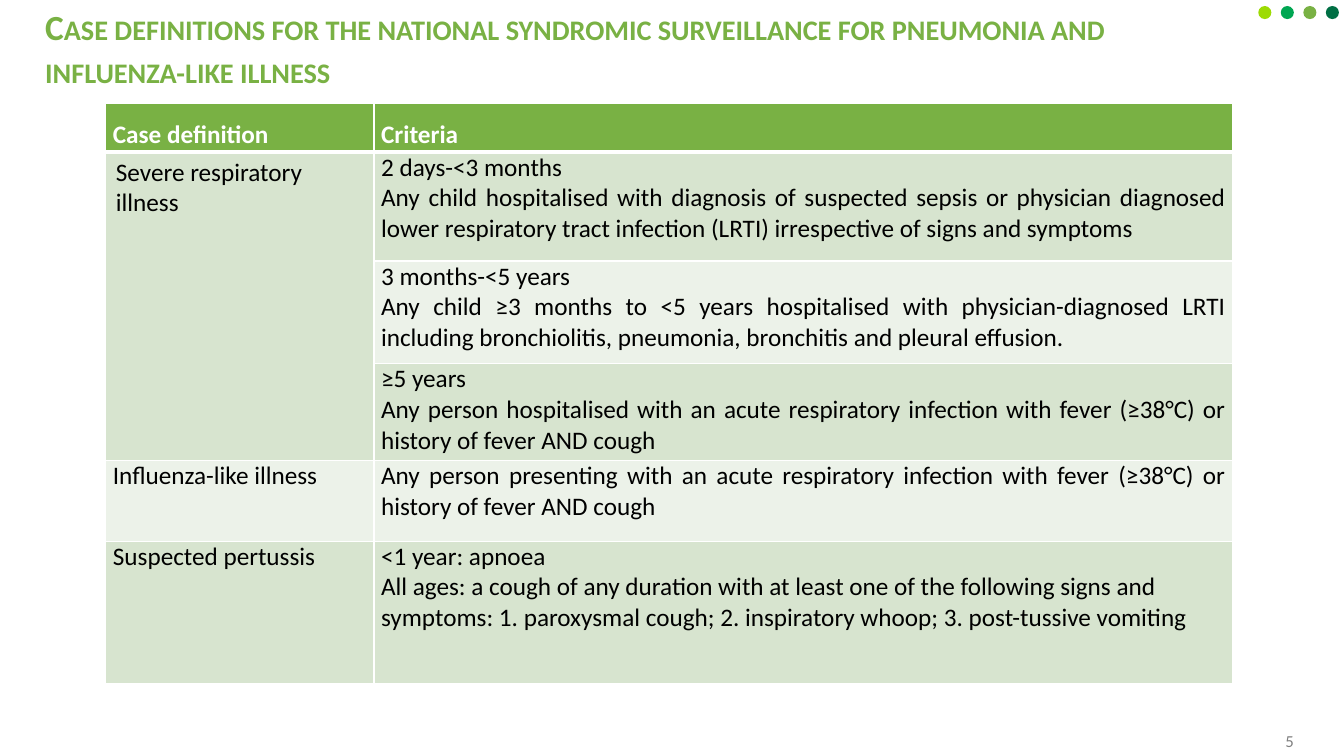
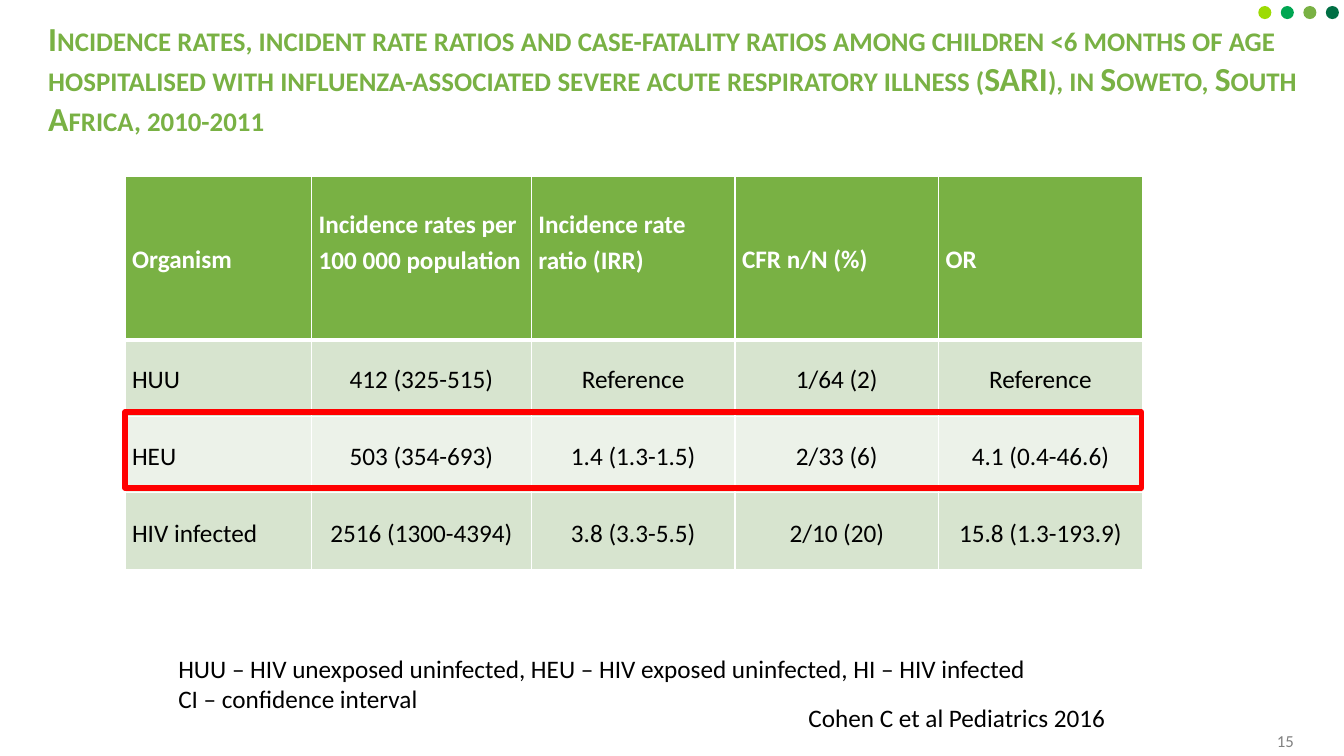
"""Build two slides of case definitions and incidence rates."""
from lxml import etree
from pptx import Presentation
from pptx import util as u
from pptx.dml.color import RGBColor
from pptx.enum import shapes, text
from pptx.oxml.ns import qn

WHITE = RGBColor(0xFF, 0xFF, 0xFF)
BLACK = RGBColor(0x00, 0x00, 0x00)
GREY = RGBColor(0x80, 0x80, 0x80)
RED = RGBColor(0xFF, 0x00, 0x00)
LIME = RGBColor(0x9D, 0xDB, 0x04)
EMERALD = RGBColor(0x00, 0xA6, 0x52)
GREEN = RGBColor(0x79, 0xB1, 0x44)
FOREST = RGBColor(0x00, 0x6F, 0x44)
BANDS = (RGBColor(0xD7, 0xE4, 0xCF), RGBColor(0xEC, 0xF2, 0xE9))

LEFT = text.PP_ALIGN.LEFT
CENTER = text.PP_ALIGN.CENTER
RIGHT = text.PP_ALIGN.RIGHT
JUSTIFY = text.PP_ALIGN.JUSTIFY
TOP = text.MSO_ANCHOR.TOP
MIDDLE = text.MSO_ANCHOR.MIDDLE

CASE_DEFINITIONS = [
    ["Case definition", "Criteria"],
    ["Severe respiratory illness",
     "2 days-<3 months\nAny child hospitalised with diagnosis of suspected sepsis or "
     "physician diagnosed lower respiratory tract infection (LRTI) irrespective of "
     "signs and symptoms"],
    ["", "3 months-<5 years\nAny child ≥3 months to <5 years hospitalised with "
     "physician-diagnosed LRTI including bronchiolitis, pneumonia, bronchitis and "
     "pleural effusion."],
    ["", "≥5 years\nAny person hospitalised with an acute respiratory infection with "
     "fever (≥38°C) or history of fever AND cough"],
    ["Influenza-like illness",
     "Any person presenting with an acute respiratory infection with fever (≥38°C) or "
     "history of fever AND cough"],
    ["Suspected pertussis",
     "<1 year: apnoea\nAll ages: a cough of any duration with at least one of the "
     "following signs and symptoms: 1. paroxysmal cough; 2. inspiratory whoop; "
     "3. post-tussive vomiting"],
]
INCIDENCE_RATES = [
    ["Organism", "Incidence rates per 100 000 population", "Incidence rate ratio (IRR)",
     "CFR n/N (%)", "OR"],
    ["HUU", "412 (325-515)", "Reference", "1/64 (2)", "Reference"],
    ["HEU", "503 (354-693)", "1.4 (1.3-1.5)", "2/33 (6)", "4.1 (0.4-46.6)"],
    ["HIV infected", "2516 (1300-4394)", "3.8 (3.3-5.5)", "2/10 (20)", "15.8 (1.3-193.9)"],
]


class Deck:
    """Hold the shared style and the current slide."""

    font = "Calibri"
    body_size = 18

    def __init__(self):
        """Start an empty widescreen presentation."""
        self.presentation = Presentation()
        self.presentation.slide_width = u.Inches(13.33)
        self.presentation.slide_height = u.Inches(7.5)
        self.slide = None

    def new_slide(self, title, title_box, title_size, number):
        """Add a slide with its dots, title and page number."""
        self.slide = self.presentation.slides.add_slide(self.presentation.slide_layouts[6])
        for index, color in enumerate((LIME, EMERALD, GREEN, FOREST)):
            dot = self.shape(shapes.MSO_SHAPE.OVAL, (12.48 + 0.67 * index / 3, 0.06, 0.13, 0.13))
            dot.fill.solid()
            dot.fill.fore_color.rgb = color
            dot.line.fill.background()
        frame = self.text_box(title, title_box, title_size, GREEN, anchor=MIDDLE, bold=True)
        for run in frame.paragraphs[0].runs:
            run.font._element.set("cap", "small")
        self.text_box(str(number), (10.14, 7.19, 2.79, 0.31), 12, GREY, RIGHT, MIDDLE)

    def shape(self, kind, box):
        """Add a preset shape without shadow."""
        shape = self.slide.shapes.add_shape(kind, *map(u.Inches, box))
        shape.shadow.inherit = False
        return shape

    def add_text(self, frame, content, size, color, align=LEFT, bold=False, spacing=1.0):
        """Add one paragraph for each line of content."""
        for index, line in enumerate(content.split("\n")):
            paragraph = frame.add_paragraph() if index else frame.paragraphs[0]
            paragraph.alignment = align
            paragraph.line_spacing = spacing
            run = paragraph.add_run()
            run.text = line
            run.font.name = self.font
            run.font.size = u.Pt(size)
            run.font.bold = bold
            run.font.color.rgb = color

    def text_box(self, content, box, size=body_size, color=BLACK, align=LEFT,
                 anchor=TOP, bold=False):
        """Add a wrapped text box and return its frame."""
        frame = self.slide.shapes.add_textbox(*map(u.Inches, box)).text_frame
        frame.word_wrap = True
        frame.vertical_anchor = anchor
        self.add_text(frame, content, size, color, align, bold)
        return frame

    def borders(self, cell, top, bottom):
        """Draw white borders around a table cell."""
        properties = cell._tc.get_or_add_tcPr()
        for side, width in (("L", 1), ("R", 1), ("T", top), ("B", bottom)):
            line = etree.SubElement(properties, qn(f"a:ln{side}"), w=str(u.Pt(width)))
            fill = etree.SubElement(line, qn("a:solidFill"))
            etree.SubElement(fill, qn("a:srgbClr"), val=str(WHITE))

    def table(self, rows, corner, widths, heights, align, anchor, header_spacing, spacing):
        """Add a banded table; align maps row and column to an alignment."""
        box = (*corner, sum(widths), sum(heights))
        table = self.slide.shapes.add_table(
            len(rows), len(widths), *map(u.Inches, box)).table
        for column, width in zip(table.columns, widths):
            column.width = u.Inches(width)
        for row, height in zip(table.rows, heights):
            row.height = u.Inches(height)
        for r, contents in enumerate(rows):
            header = r == 0
            for c, content in enumerate(contents):
                cell = table.cell(r, c)
                self.borders(cell, 3 if r == 1 else 1, 3 if header else 1)
                cell.fill.solid()
                cell.fill.fore_color.rgb = GREEN if header else BANDS[(r - 1) % 2]
                cell.vertical_anchor = anchor
                cell.margin_left = cell.margin_right = u.Inches(0.07)
                cell.margin_top = cell.margin_bottom = 0
                if content:
                    self.add_text(cell.text_frame, content, self.body_size,
                                  WHITE if header else BLACK, align(r, c), header,
                                  header_spacing if header else spacing)
        return table

    def highlight(self, box):
        """Outline an area in red with rounded joins."""
        frame = self.shape(shapes.MSO_SHAPE.RECTANGLE, box)
        frame.fill.background()
        frame.line.color.rgb = RED
        frame.line.width = u.Pt(4)
        etree.SubElement(frame.line._get_or_add_ln(), qn("a:round"))


def case_definitions(deck):
    """Build the slide of case definitions."""
    deck.new_slide("Case definitions for the national syndromic surveillance for pneumonia "
                   "and influenza-like illness", (0.35, 0.12, 11.72, 0.71), 25.2, 5)
    table = deck.table(
        CASE_DEFINITIONS, (1.05, 1.03), [2.66, 8.52], [0.48, 1.08, 1.02, 0.96, 0.8, 1.41],
        lambda r, c: LEFT if (r, c) in ((1, 0), (5, 1)) else JUSTIFY, TOP, 1.5, 1.0)
    severe = table.cell(1, 0)
    severe.merge(table.cell(3, 0))
    severe.margin_left = severe.margin_right = u.Inches(0.1)
    severe.margin_top = severe.margin_bottom = u.Inches(0.05)


def incidence_rates(deck):
    """Build the slide of incidence rates."""
    deck.new_slide("Incidence rates, incident rate ratios and case-fatality ratios among "
                   "children <6 months of age hospitalised with influenza-associated severe "
                   "acute respiratory illness (SARI), in Soweto, South Africa, 2010-2011",
                   (0.38, 0.42, 12.58, 0.71), 24, 15)
    table = deck.table(
        INCIDENCE_RATES, (1.24, 1.75), [1.85, 2.18] + [2.02] * 3, [1.62] + [0.76] * 3,
        lambda r, c: CENTER if r and c else LEFT, MIDDLE, 1.15, 1.15)
    for column in (1, 2):
        table.cell(0, column).margin_bottom = u.Inches(0.35)
    deck.highlight((1.24, 4.09, 10.08, 0.75))
    deck.text_box("HUU – HIV unexposed uninfected, HEU – HIV exposed uninfected, "
                  "HI – HIV infected\nCI – confidence interval", (1.67, 6.43, 8.71, 0.71))
    deck.text_box("Cohen C et al Pediatrics 2016", (7.92, 6.92, 3.18, 0.4))


def main():
    """Build and save the presentation."""
    deck = Deck()
    case_definitions(deck)
    incidence_rates(deck)
    deck.presentation.save("out.pptx")


if __name__ == "__main__":
    main()
